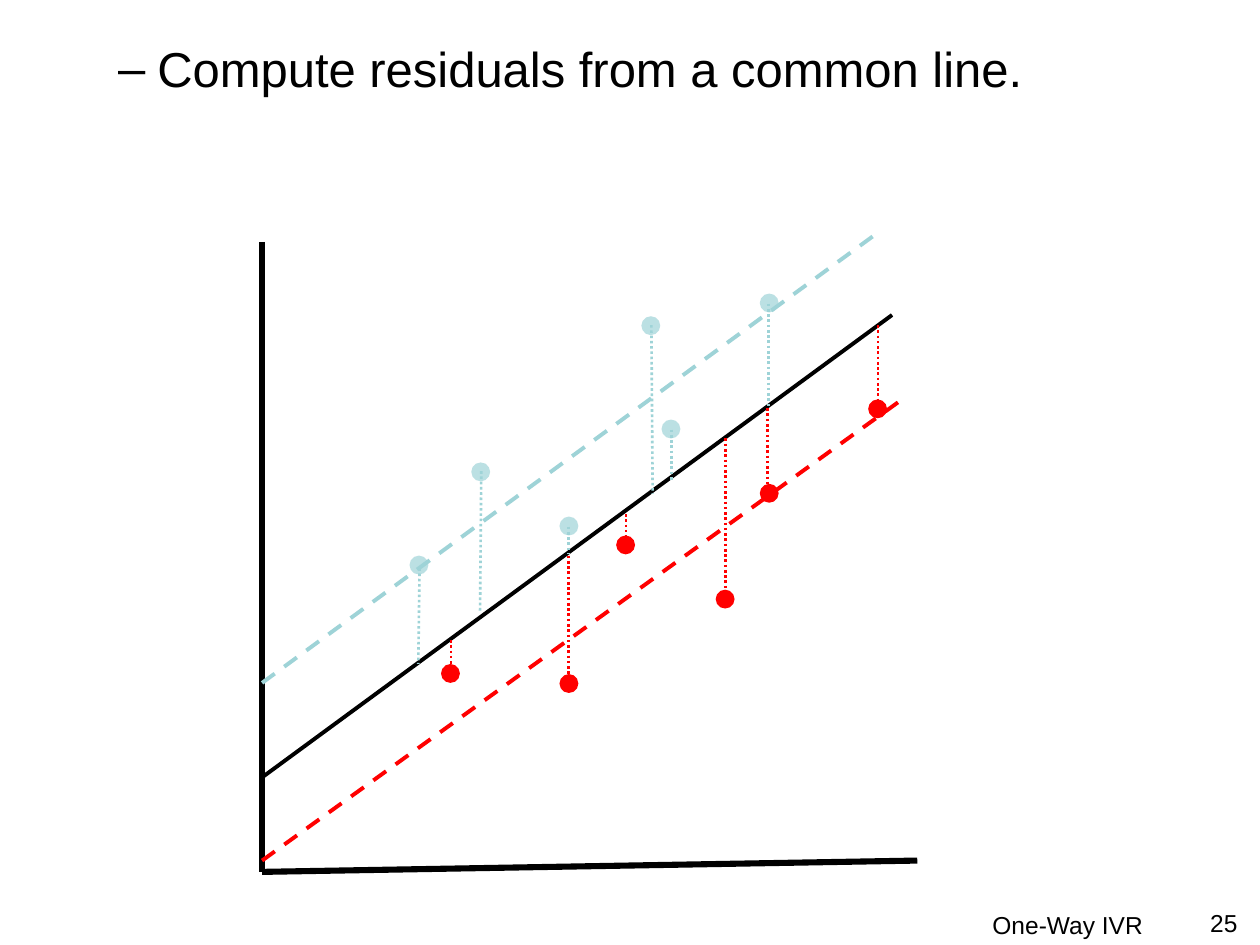
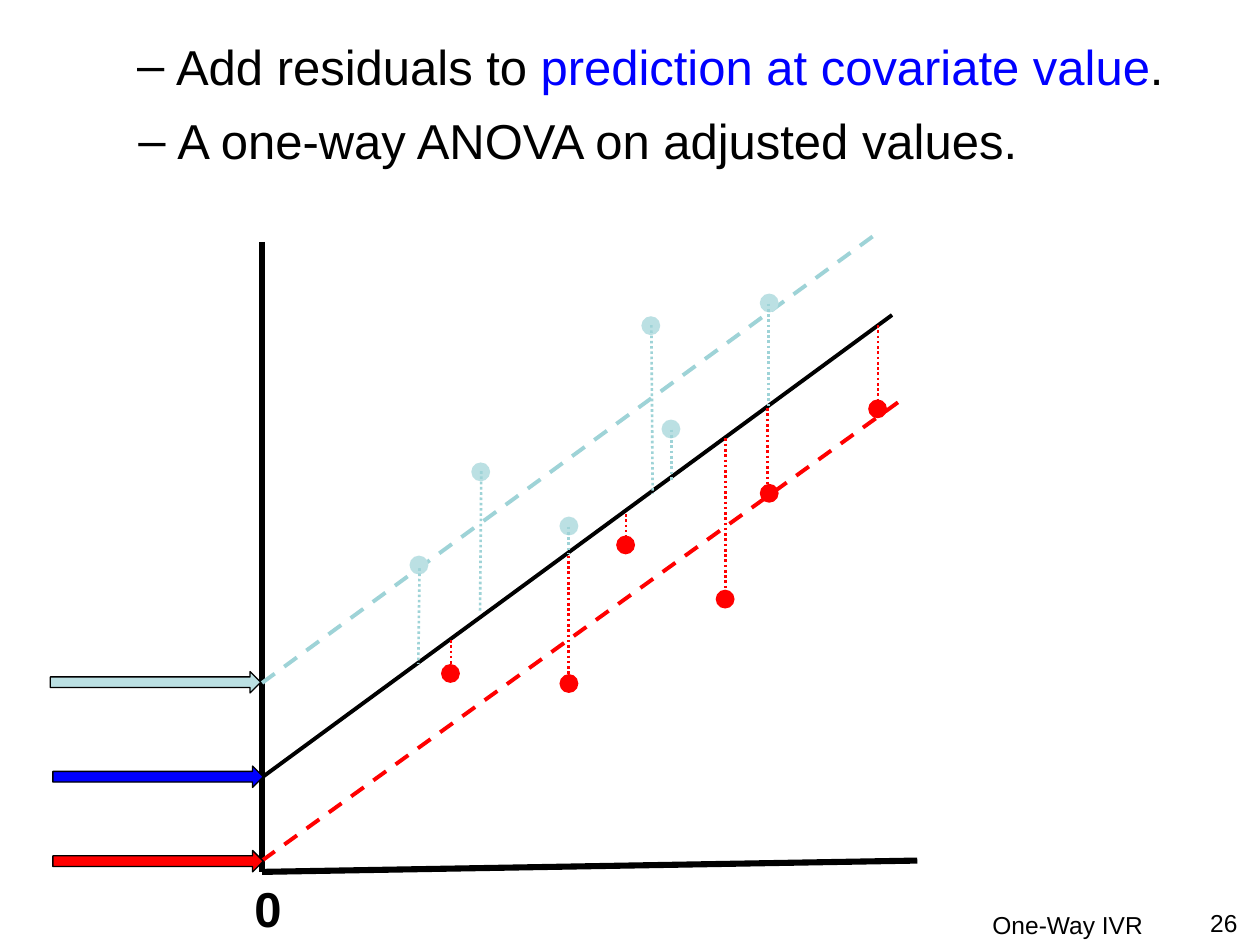
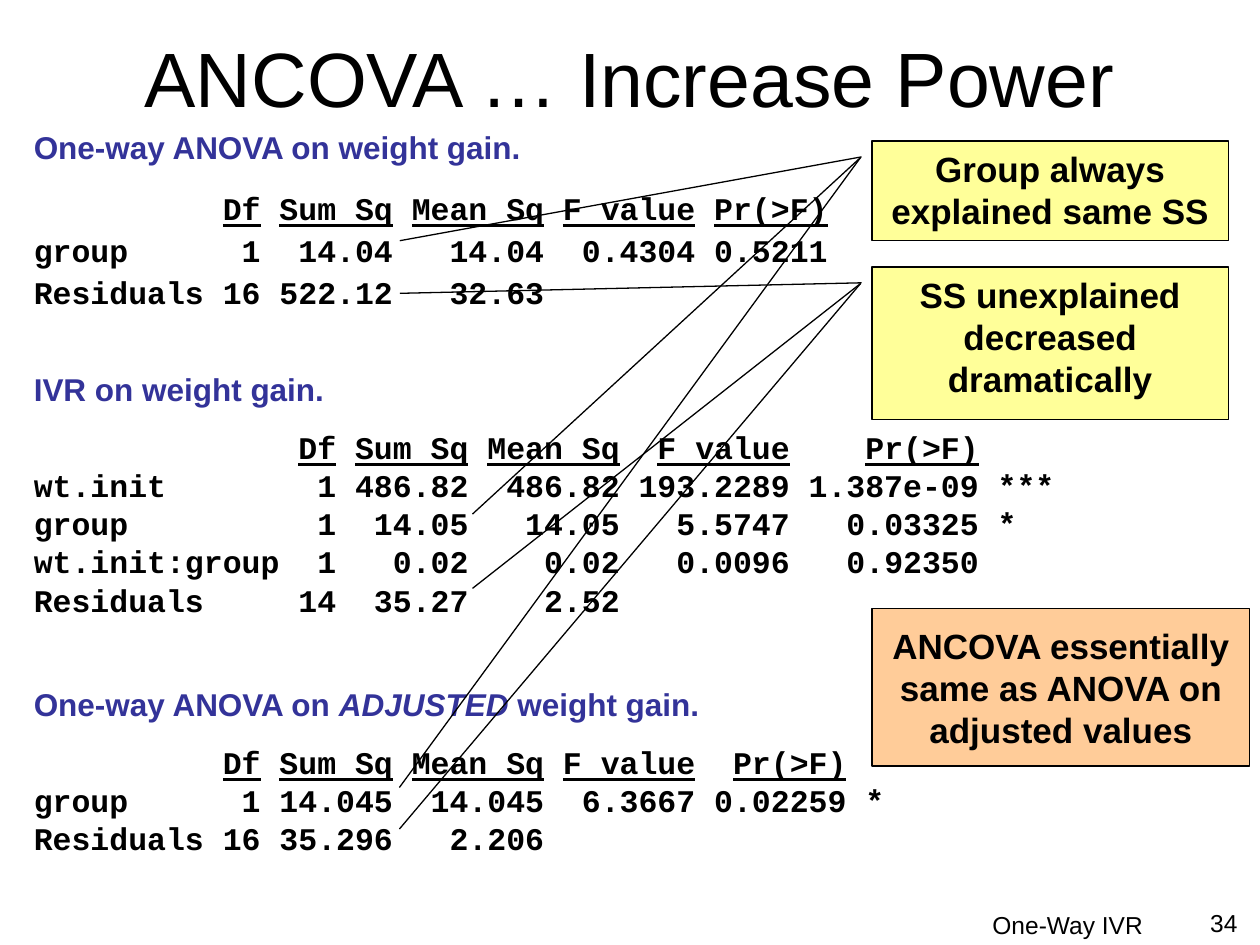
from dataclasses import dataclass

from lxml.etree import SubElement
from pptx import Presentation
from pptx.dml.color import RGBColor
from pptx.enum.dml import MSO_LINE
from pptx.enum.shapes import MSO_CONNECTOR, MSO_SHAPE
from pptx.enum.text import MSO_ANCHOR, PP_ALIGN
from pptx.oxml.ns import qn
from pptx.util import Inches, Pt


@dataclass(frozen=True)
class Theme:
    sans: str = "Arial"
    mono: str = "Courier New"
    black: str = "000000"
    red: str = "FF0000"
    blue: str = "0000FF"
    teal: str = "9ED3D7"
    pale: str = "BBE0E3"
    navy: str = "333399"
    yellow: str = "FFFF99"
    peach: str = "FFCC99"
    title: int = 44
    body: int = 28
    note: int = 20
    stat: int = 18
    foot: int = 14
    thick: float = 3.5
    fit: float = 2.25
    drop: float = 1.5
    thin: float = 0.75
    char: float = 0.15  # width in inches of one mono letter at stat size


T = Theme()

# Regression lines: start, end, colour, dash
FITS = [
    ((2.08, 6.17), (7.08, 2.5), T.black, None),
    ((2.08, 6.83), (7.16, 3.17), T.red, MSO_LINE.DASH),
    ((2.08, 5.42), (6.99, 1.83), T.teal, MSO_LINE.DASH),
]

# Observations: dot left and top, then start and end of the residual
UPPER = [
    (3.25, 4.41, (3.33, 4.51), (3.32, 5.27)),
    (3.74, 3.67, (3.82, 3.74), (3.81, 4.86)),
    (4.44, 4.1, (4.51, 4.18), (4.51, 4.4)),
    (5.25, 3.33, (5.33, 3.41), (5.33, 3.82)),
    (5.09, 2.51, (5.17, 2.58), (5.18, 3.92)),
    (6.03, 2.33, (6.1, 2.41), (6.1, 3.24)),
]
LOWER = [
    (3.5, 5.27, (3.58, 5.08), (3.58, 5.29)),
    (4.44, 5.35, (4.51, 4.41), (4.51, 5.42)),
    (4.89, 4.25, (4.97, 4.08), (4.97, 4.29)),
    (5.68, 4.68, (5.76, 3.48), (5.76, 4.76)),
    (6.03, 3.84, (6.09, 3.24), (6.09, 3.92)),
    (6.89, 3.17, (6.97, 2.58), (6.97, 3.26)),
]

HEAD = ["Df", "Sum Sq", "Mean Sq", "F value", "Pr(>F)"]


# Basic elements
def add_run(para, text, size, color=T.black, font=T.sans, bold=False):
    run = para.add_run()
    run.text = text
    run.font.size = Pt(size)
    run.font.name = font
    run.font.bold = bold
    run.font.color.rgb = RGBColor.from_string(color)
    return run


def add_box(slide, x, y, w, h, wrap=True):
    box = slide.shapes.add_textbox(Inches(x), Inches(y), Inches(w), Inches(h))
    box.text_frame.word_wrap = wrap
    return box.text_frame


def add_label(slide, text, spot, size, align=PP_ALIGN.LEFT, bold=False):
    frame = add_box(slide, *spot)
    para = frame.paragraphs[0]
    para.alignment = align
    add_run(para, text, size, bold=bold)
    return frame


def add_line(slide, start, end, color=T.black, width=T.thin, dash=None):
    ends = [Inches(v) for v in (*start, *end)]
    line = slide.shapes.add_connector(MSO_CONNECTOR.STRAIGHT, *ends)
    line.line.color.rgb = RGBColor.from_string(color)
    line.line.width = Pt(width)
    if dash:
        line.line.dash_style = dash
    SubElement(line._element.spPr, qn("a:effectLst"))


def add_form(slide, kind, x, y, w, h, fill, edge=True):
    form = slide.shapes.add_shape(kind, Inches(x), Inches(y), Inches(w), Inches(h))
    form.shadow.inherit = False
    form.fill.solid()
    form.fill.fore_color.rgb = RGBColor.from_string(fill)
    if edge:
        form.line.color.rgb = RGBColor.from_string(T.black)
        form.line.width = Pt(T.thin)
    else:
        form.line.fill.background()
    return form


# Composed elements
def new_slide(deck, page):
    slide = deck.slides.add_slide(deck.slide_layouts[6])
    add_label(slide, "One-Way IVR", (6, 7.17, 3.17, 0.25), T.foot, PP_ALIGN.RIGHT)
    add_label(slide, page, (9.25, 7.16, 0.67, 0.34), T.foot, PP_ALIGN.RIGHT)
    return slide


def add_point(slide, x, y, h, parts):
    para = add_box(slide, x, y, 9.5, h).paragraphs[0]
    para.space_before = Pt(6.5)
    props = para._p.get_or_add_pPr()
    props.set("marL", str(Inches(0.81)))
    props.set("indent", str(Inches(-0.31)))
    SubElement(props, qn("a:buFont"), typeface=T.sans)
    SubElement(props, qn("a:buChar"), char="–")
    for text, color in parts:
        add_run(para, text, T.body, color)


def add_fits(slide):
    for start, end, color, dash in FITS:
        add_line(slide, start, end, color, T.fit, dash)


def add_dots(slide):
    for group, color in ((UPPER, T.pale), (LOWER, T.red)):
        for x, y, *_ in group:
            add_form(slide, MSO_SHAPE.OVAL, x, y, 0.15, 0.15, color, edge=False)


def add_plot(slide, layers):
    add_line(slide, (2.08, 1.92), (2.08, 6.92), width=T.thick)
    add_line(slide, (7.28, 6.83), (2.08, 6.92), width=T.thick)
    for layer in layers:
        layer(slide)
    for group, color in ((UPPER, T.teal), (LOWER, T.red)):
        for _, _, start, end in group:
            add_line(slide, start, end, color, T.drop, MSO_LINE.ROUND_DOT)


def add_stats(slide, y, h, title, stops, rows, star=(), gap=0.8):
    """Heading and output rows; stops and star are columns in letters."""
    frame = add_box(slide, 0.17, y, 9, h)
    para = frame.paragraphs[0]
    para.line_spacing = 0.9
    para.space_before = Pt(4.5)
    for text, slant in title:
        add_run(para, text, T.stat, T.navy, bold=True).font.italic = slant

    tabs = [(col, "r") for col in stops] + [(col, "l") for col in star]
    for num, cells in enumerate([HEAD + [""] * len(star)] + rows):
        para = frame.add_paragraph()
        para.line_spacing = gap
        para.space_before = Pt(4.5 if num else 15.5)
        holder = SubElement(para._p.get_or_add_pPr(), qn("a:tabLst"))
        for col, side in tabs:
            SubElement(holder, qn("a:tab"), pos=str(Inches(col * T.char)), algn=side)
        if num == 0:
            add_run(para, "\t", T.stat, font=T.mono, bold=True)
        run = add_run(para, "\t".join(cells), T.stat, font=T.mono, bold=True)
        run.font.underline = num == 0


def add_note(slide, kind, spot, fill, text, anchor, bends=()):
    form = add_form(slide, kind, *spot, fill)
    for num, bend in enumerate(bends):
        form.adjustments[num] = bend
    frame = form.text_frame
    frame.word_wrap = True
    frame.vertical_anchor = anchor
    para = frame.paragraphs[0]
    para.alignment = PP_ALIGN.CENTER
    add_run(para, text, T.note, bold=True)


# Slides
def show_common(deck):
    slide = new_slide(deck, "25")
    add_plot(slide, [add_dots, add_fits])
    add_point(slide, 0.34, 0.26, 1.32,
              [("Compute residuals from a common line.", T.black)])


def show_adjusted(deck):
    slide = new_slide(deck, "26")
    add_plot(slide, [add_fits, add_dots])
    for x, y, color in ((0.4, 5.33, T.pale), (0.42, 6.75, T.red), (0.42, 6.08, T.blue)):
        add_form(slide, MSO_SHAPE.RIGHT_ARROW, x, y, 1.67, 0.17, color)
    add_point(slide, 0.49, 0.24, 0.81, [
        ("Add residuals to ", T.black),
        ("prediction at covariate value", T.blue),
        (".", T.black),
    ])
    add_point(slide, 0.5, 0.83, 0.81,
              [("A one-way ANOVA on adjusted values.", T.black)])
    add_label(slide, "0", (1.92, 6.92, 0.42, 0.57, False), T.body, bold=True)


def show_power(deck):
    slide = new_slide(deck, "34")
    title = add_label(slide, "ANCOVA … Increase Power", (0.07, 0.13, 9.86, 0.95),
                      T.title, PP_ALIGN.CENTER)
    title.vertical_anchor = MSO_ANCHOR.MIDDLE

    # Model output
    add_stats(slide, 5.42, 1.42,
              [("One-way ANOVA on ", False), ("ADJUSTED", True), (" weight gain.", False)],
              (12, 19, 27, 35, 43), [
                  ["group", "1", "14.045", "14.045", "6.3667", "0.02259", "*"],
                  ["Residuals", "16", "35.296", "2.206"],
              ], star=(44, 45))
    add_stats(slide, 1, 1.5, [("One-way ANOVA on weight gain.", False)],
              (12, 19, 27, 35, 42), [
                  ["group", "1", "14.04", "14.04", "0.4304", "0.5211"],
                  ["Residuals", "16", "522.12", "32.63"],
              ], gap=0.9)
    add_stats(slide, 2.92, 2, [("IVR on weight gain.", False)],
              (16, 23, 31, 40, 50), [
                  ["wt.init", "1", "486.82", "486.82", "193.2289", "1.387e-09", "***"],
                  ["group", "1", "14.05", "14.05", "5.5747", "0.03325", "*"],
                  ["wt.init:group", "1", "0.02", "0.02", "0.0096", "0.92350"],
                  ["Residuals", "14", "35.27", "2.52"],
              ], star=(51, 54))

    # Callouts, each with two more leader lines
    notes = [
        (1.12, 0.79, "Group always explained same SS",
         (0.158, -0.029, 1, -1.324), 1.25, (4.08, 6.25)),
        (2.12, 1.21, "SS unexplained decreased dramatically",
         (0.103, -0.029, 0.172, -1.324), 2.25, (4.67, 6.58)),
    ]
    for y, h, text, bends, tip, ends in notes:
        add_note(slide, MSO_SHAPE.LINE_CALLOUT_1, (6.92, y, 2.83, h), T.yellow,
                 text, MSO_ANCHOR.TOP, bends)
        for x, end in zip((3.75, 3.17), ends):
            add_line(slide, (x, end), (6.83, tip))
    add_note(slide, MSO_SHAPE.RECTANGLE, (6.92, 4.83, 3, 1.25), T.peach,
             "ANCOVA essentially same as ANOVA on adjusted values", MSO_ANCHOR.MIDDLE)


def main():
    deck = Presentation()
    deck.slide_width = Inches(10)
    deck.slide_height = Inches(7.5)
    show_common(deck)
    show_adjusted(deck)
    show_power(deck)
    deck.save("out.pptx")


main()
